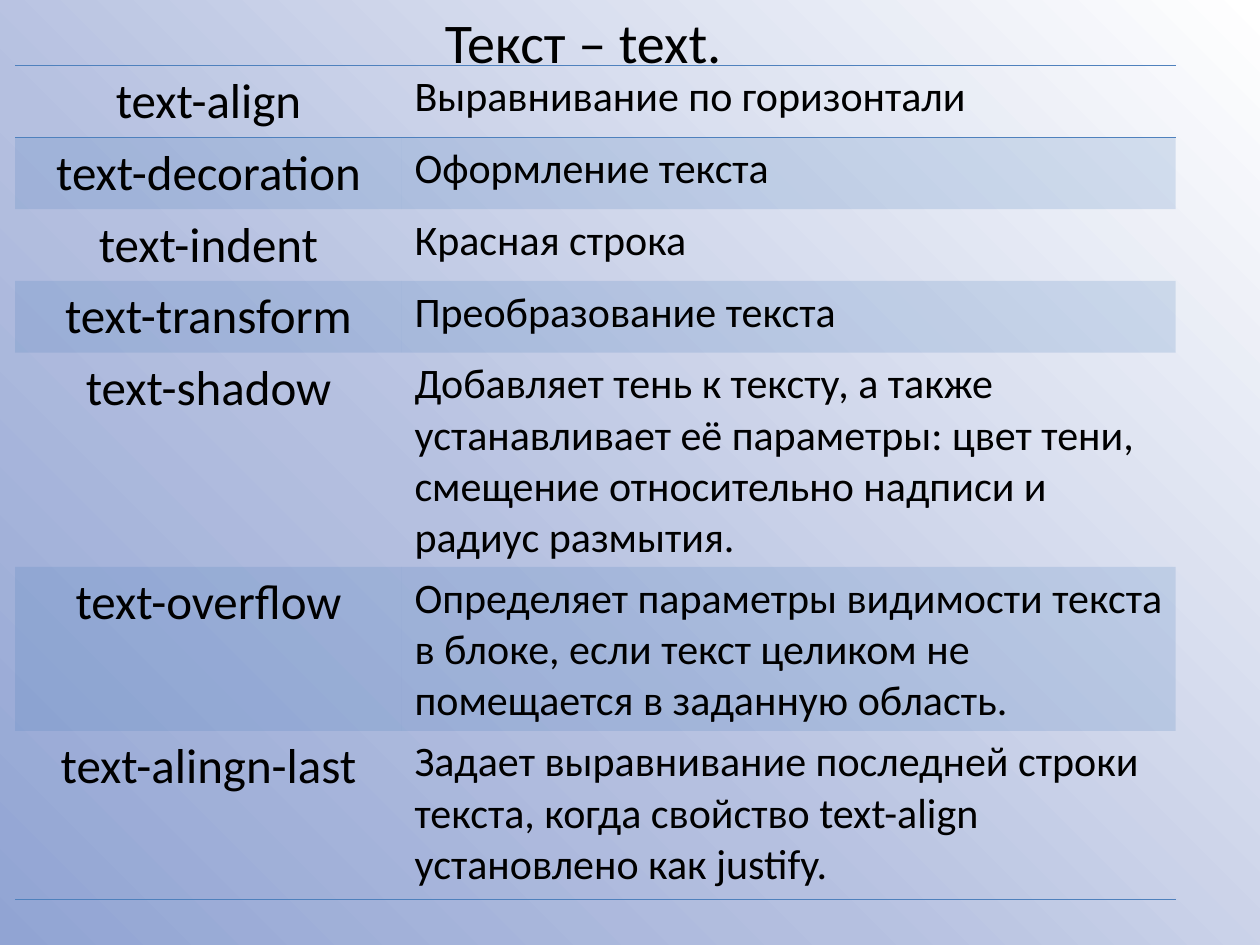
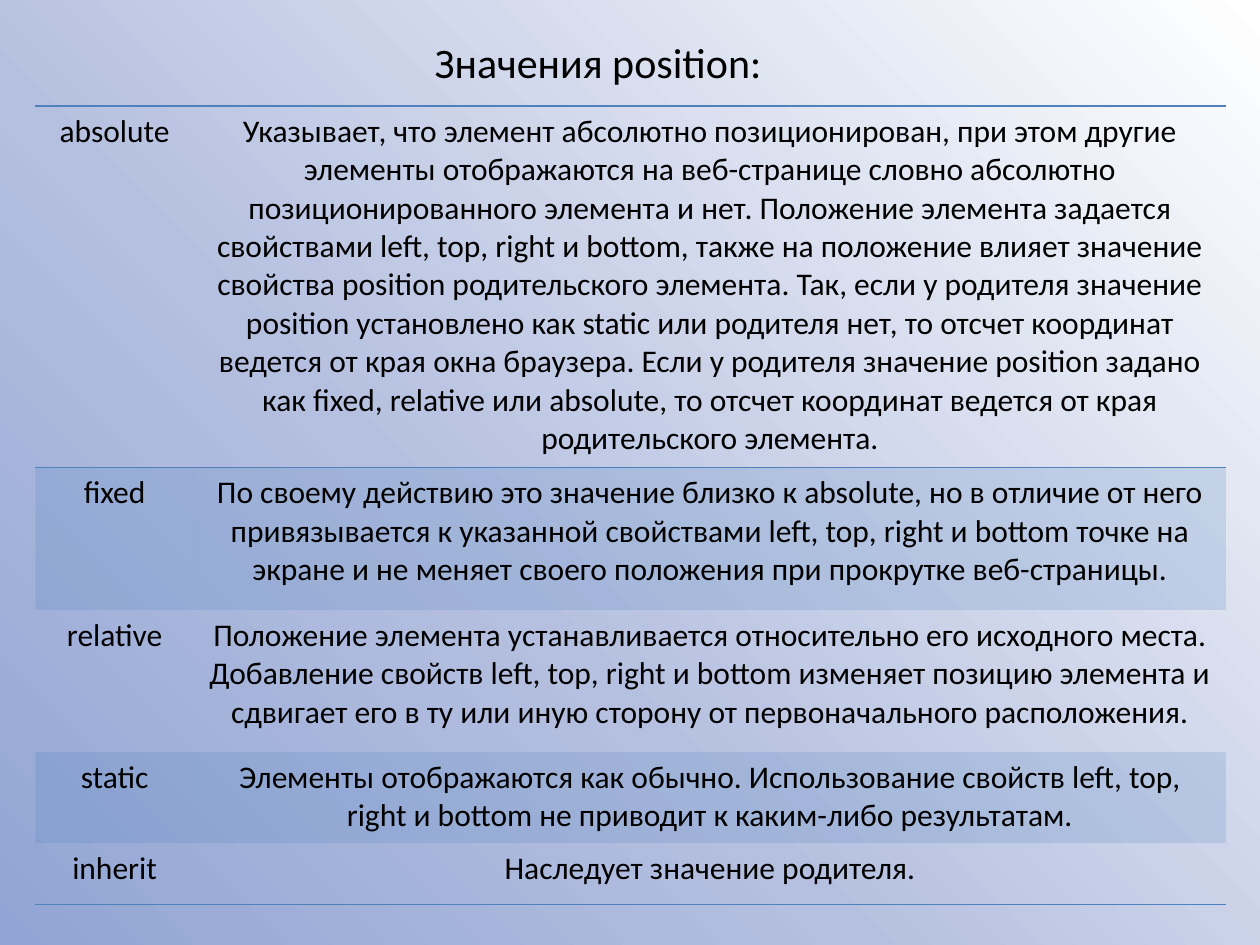
from lxml import etree
from pptx import Presentation
from pptx.dml.color import RGBColor
from pptx.enum.text import MSO_ANCHOR, MSO_AUTO_SIZE, PP_ALIGN
from pptx.oxml import parse_xml
from pptx.oxml.ns import nsdecls, qn
from pptx.util import Inches, Pt

BLACK = RGBColor(0x00, 0x00, 0x00)
BLUE = RGBColor(0x4F, 0x81, 0xBD)
GRADIENT = [(0, RGBColor(0xFF, 0xFF, 0xFF)),
            (61, RGBColor(0xB5, 0xC0, 0xE0)),
            (100, RGBColor(0x91, 0xA4, 0xD3))]
FONT = "Calibri"
PLAIN_STYLE = "{2D5ABB26-0587-4C30-8999-92F81FD0307C}"
BAND_ALPHA = 20
TITLE_ONLY = 5

TEXT_ROWS = [
    ("text-align", "Выравнивание по горизонтали"),
    ("text-decoration", "Оформление текста"),
    ("text-indent", "Красная строка"),
    ("text-transform", "Преобразование текста"),
    ("text-shadow",
     "Добавляет тень к тексту, а также устанавливает её параметры: цвет тени, "
     "смещение относительно надписи и радиус размытия."),
    ("text-overflow",
     "Определяет параметры видимости текста в блоке, если текст целиком не "
     "помещается в заданную область."),
    ("text-alingn-last",
     "Задает выравнивание последней строки текста, когда свойство text-align "
     "установлено как justify."),
]

POSITION_ROWS = [
    ("absolute",
     "Указывает, что элемент абсолютно позиционирован, при этом другие элементы "
     "отображаются на веб-странице словно абсолютно позиционированного элемента "
     "и нет. Положение элемента задается свойствами left, top, right и bottom, "
     "также на положение влияет значение свойства position родительского "
     "элемента. Так, если у родителя значение position установлено как static "
     "или родителя нет, то отсчет координат ведется от края окна браузера. Если "
     "у родителя значение position задано как fixed, relative или absolute, то "
     "отсчет координат ведется от края родительского элемента."),
    ("fixed",
     "По своему действию это значение близко к absolute, но в отличие от него "
     "привязывается к указанной свойствами left, top, right и bottom точке на "
     "экране и не меняет своего положения при прокрутке веб-страницы."),
    ("relative",
     "Положение элемента устанавливается относительно его исходного места. "
     "Добавление свойств left, top, right и bottom изменяет позицию элемента и "
     "сдвигает его в ту или иную сторону от первоначального расположения."),
    ("static",
     "Элементы отображаются как обычно. Использование свойств left, top, right "
     "и bottom не приводит к каким-либо результатам."),
    ("inherit", "Наследует значение родителя."),
]


def set_background(master):
    """Give the master a circular gradient that spreads from the top right."""
    fill = master.background.fill
    fill.gradient()
    stops = "".join(
        f'<a:gs pos="{pos * 1000}"><a:srgbClr val="{color}"/></a:gs>'
        for pos, color in GRADIENT)
    grad = parse_xml(
        f'<a:gradFill {nsdecls("a")} rotWithShape="1"><a:gsLst>{stops}</a:gsLst>'
        '<a:path path="circle"><a:fillToRect l="100000" b="100000"/></a:path>'
        '</a:gradFill>')
    old = next(master.element.iter(qn("a:gradFill")))
    old.getparent().replace(old, grad)


def add_text(tf, text, size, align):
    p = tf.paragraphs[0]
    p.alignment = align
    r = p.add_run()
    r.text = text
    r.font.name = FONT
    r.font.size = Pt(size)
    r.font.color.rgb = BLACK


def set_title(s, text, size, box):
    sp = s.shapes.title
    sp.left, sp.top, sp.width, sp.height = map(Inches, box)
    tf = sp.text_frame
    tf.word_wrap = False
    tf.auto_size = MSO_AUTO_SIZE.SHAPE_TO_FIT_TEXT
    tf.vertical_anchor = MSO_ANCHOR.TOP
    add_text(tf, text, size, PP_ALIGN.LEFT)


def add_border(cell, side):
    """Draw a 1 pt line on one side: lnT or lnB."""
    cell._tc.get_or_add_tcPr().append(parse_xml(
        f'<a:{side} {nsdecls("a")} w="{Pt(1)}"><a:solidFill>'
        f'<a:srgbClr val="{BLUE}"/></a:solidFill></a:{side}>'))


def fill_band(cell):
    cell.fill.solid()
    cell.fill.fore_color.rgb = BLUE
    color = next(cell._tc.tcPr.iterchildren(qn("a:solidFill")))[0]
    etree.SubElement(color, qn("a:alpha"), val=str(BAND_ALPHA * 1000))


def add_property_table(s, rows, left, top, widths, heights, formats):
    """Ruled two-column table; formats holds (size, alignment) per column."""
    frame = s.shapes.add_table(len(rows), len(widths), Inches(left), Inches(top),
                               Inches(sum(widths)), Inches(sum(heights)))
    table = frame.table
    next(frame._element.iter(qn("a:tableStyleId"))).text = PLAIN_STYLE
    table.first_row = table.horz_banding = False
    for col, width in zip(table.columns, widths):
        col.width = Inches(width)
    last = len(rows) - 1
    for i, (texts, height) in enumerate(zip(rows, heights)):
        table.rows[i].height = Inches(height)
        for j, (text, (size, align)) in enumerate(zip(texts, formats)):
            cell = table.cell(i, j)
            add_text(cell.text_frame, text, size, align)
            if i == 0:
                add_border(cell, "lnT")
            if i in (0, last):
                add_border(cell, "lnB")
            if i % 2:
                fill_band(cell)
            else:
                cell.fill.background()


def add_text_slide(prs):
    s = prs.slides.add_slide(prs.slide_layouts[TITLE_ONLY])
    set_title(s, "Текст – text.", 32, (3.43, 0.01, 2.42, 0.64))
    add_property_table(s, TEXT_ROWS, 0.12, 0.52, (3.07, 6.14),
                       [0.57] * 4 + [1.7, 1.3, 1.34],
                       [(28, PP_ALIGN.CENTER), (24, PP_ALIGN.LEFT)])


def add_position_slide(prs):
    s = prs.slides.add_slide(prs.slide_layouts[TITLE_ONLY])
    set_title(s, "Значения position:", 24, (3.35, 0.24, 2.82, 0.5))
    add_property_table(s, POSITION_ROWS, 0.28, 0.84, (1.26, 8.19),
                       [2.87, 1.13, 1.13, 0.72, 0.49],
                       [(18, PP_ALIGN.CENTER)] * 2)


def main():
    prs = Presentation()
    prs.slide_width, prs.slide_height = Inches(10), Inches(7.5)
    set_background(prs.slide_master)
    add_text_slide(prs)
    add_position_slide(prs)
    prs.save("out.pptx")


if __name__ == "__main__":
    main()
